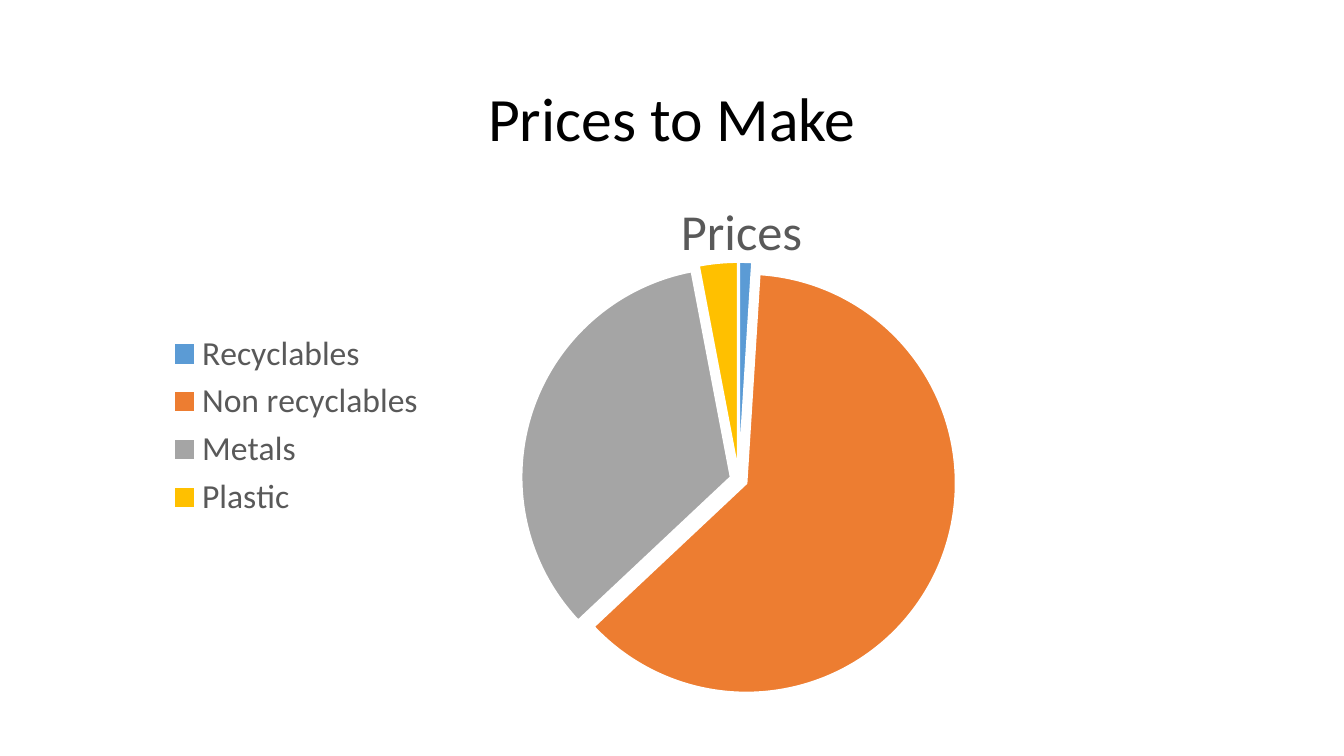
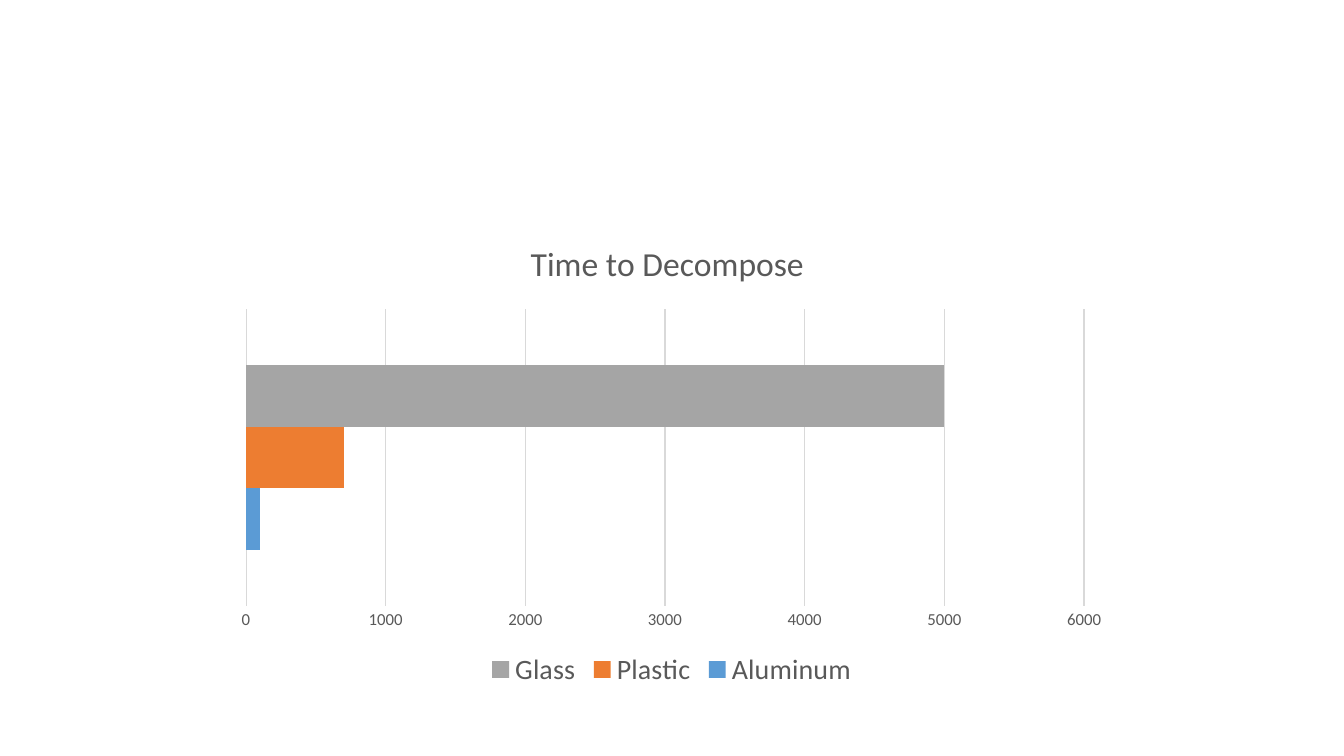
"""Builds two chart slides about the price and decay of materials."""
from lxml.etree import SubElement
from pptx import Presentation
from pptx.chart.data import CategoryChartData
from pptx.dml.color import RGBColor
from pptx.enum.chart import XL_CHART_TYPE as ChartType
from pptx.enum.chart import XL_LEGEND_POSITION as LegendPosition
from pptx.enum.chart import XL_TICK_MARK as TickMark
from pptx.enum.text import MSO_ANCHOR as Anchor
from pptx.enum.text import PP_ALIGN as Align
from pptx.oxml import parse_xml
from pptx.oxml.ns import nsdecls, qn
from pptx.util import Cm, Pt

FONT = "Calibri"
BLACK = RGBColor(0x00, 0x00, 0x00)
WHITE = RGBColor(0xFF, 0xFF, 0xFF)
TEXT_GREY = RGBColor(0x59, 0x59, 0x59)
GRID_GREY = RGBColor(0xD9, 0xD9, 0xD9)
BLUE = RGBColor(0x5B, 0x9B, 0xD5)
ORANGE = RGBColor(0xED, 0x7D, 0x31)
GREY = RGBColor(0xA5, 0xA5, 0xA5)
GOLD = RGBColor(0xFF, 0xC0, 0x00)

PRICES = [("Recyclables", 1, BLUE), ("Non recyclables", 62, ORANGE),
          ("Metals", 34, GREY), ("Plastic", 3, GOLD)]
PRICES_PLACES = {"box": (3.91, 3.56, 27.64, 14.33), "title": (13.02, 1.15),
                 "plot": (4.15, 3.04, 21.12, 10.98)}
DECOMPOSE_TIMES = [("Aluminum", 100, BLUE), ("Plastic", 700, ORANGE),
                   ("Glass", 5000, GREY)]
DECOMPOSE_PLACES = {"box": (5.64, 5.92, 22.58, 11.53), "title": (7.58, 0),
                    "plot": (0.56, 1.87, 21.12, 7.48)}


def style_font(font, size, color=TEXT_GREY):
    font.name, font.size, font.bold = FONT, Pt(size), False
    font.color.rgb = color


def paint(part, color):
    part.format.fill.solid()
    part.format.fill.fore_color.rgb = color


def set_layout(parent, index, box, place, target=None):
    for old in parent.findall(qn("c:layout")):
        parent.remove(old)
    layout = parse_xml(f"<c:layout {nsdecls('c')}><c:manualLayout/></c:layout>")
    settings = {"layoutTarget": target} if target else {}
    settings |= {"xMode": "edge", "yMode": "edge"}
    sizes = box[2:] * 2
    settings |= {tag: length / size
                 for tag, length, size in zip("xywh", place, sizes)}
    for tag, value in settings.items():
        SubElement(layout[0], qn(f"c:{tag}")).set("val", str(value))
    parent.insert(index, layout)


def add_titled_chart(slide, kind, places, data, title, title_size,
                     legend_position, legend_size):
    box = places["box"]
    chart = slide.shapes.add_chart(kind, *map(Cm, box), data).chart
    style_font(chart.font, 10, BLACK)
    chart.has_title = True
    heading = chart.chart_title.text_frame
    heading.text = title
    style_font(heading.paragraphs[0].font, title_size)
    chart.has_legend = True
    chart.legend.position = legend_position
    chart.legend.include_in_layout = False
    style_font(chart.legend.font, legend_size)
    set_layout(chart.chart_title._element, 1, box, places["title"])
    plot_area = chart._chartSpace.chart.plotArea
    set_layout(plot_area, 0, box, places["plot"], "inner")
    return chart


def build_prices(slide):
    title = slide.shapes.title
    title.left, title.top, title.width, title.height = map(
        Cm, (2.33, 1.22, 29.21, 3.68))
    title.text_frame.text = "Prices to Make"
    title.text_frame.vertical_anchor = Anchor.MIDDLE
    paragraph = title.text_frame.paragraphs[0]
    paragraph.alignment, paragraph.line_spacing = Align.CENTER, 0.9
    style_font(paragraph.font, 44, BLACK)

    data = CategoryChartData()
    data.categories = [name for name, _, _ in PRICES]
    data.add_series("Series 1", [value for _, value, _ in PRICES])
    chart = add_titled_chart(slide, ChartType.PIE, PRICES_PLACES, data,
                             "Prices", 36, LegendPosition.LEFT, 24)
    chart.plots[0].vary_by_categories = True
    slices = chart.plots[0].series[0]
    explosion = parse_xml(f'<c:explosion {nsdecls("c")} val="4"/>')
    slices._element.find(qn("c:cat")).addprevious(explosion)
    for index, (_, _, color) in enumerate(PRICES):
        point = slices.points[index]
        paint(point, color)
        point.format.line.color.rgb = WHITE
        point.format.line.width = Pt(1.5)


def build_decompose_times(slide):
    data = CategoryChartData()
    data.categories = ["1"]
    for name, value, _ in DECOMPOSE_TIMES:
        data.add_series(name, [value])
    chart = add_titled_chart(slide, ChartType.BAR_CLUSTERED, DECOMPOSE_PLACES,
                             data, "Time to Decompose", 24,
                             LegendPosition.BOTTOM, 20)
    bars = chart.plots[0]
    bars.gap_width, bars.vary_by_categories = 182, False
    for series, (_, _, color) in zip(bars.series, DECOMPOSE_TIMES):
        paint(series, color)
    chart.category_axis.visible = False
    axis = chart.value_axis
    axis.major_tick_mark = axis.minor_tick_mark = TickMark.NONE
    axis.format.line.fill.background()
    style_font(axis.tick_labels.font, 12)
    axis.major_gridlines.format.line.color.rgb = GRID_GREY
    axis.major_gridlines.format.line.width = Pt(0.75)


def main():
    deck = Presentation()
    deck.slide_width, deck.slide_height = Cm(33.87), Cm(19.05)
    title_only, blank = deck.slide_layouts[5], deck.slide_layouts[6]
    build_prices(deck.slides.add_slide(title_only))
    build_decompose_times(deck.slides.add_slide(blank))
    deck.save("out.pptx")


if __name__ == "__main__":
    main()
